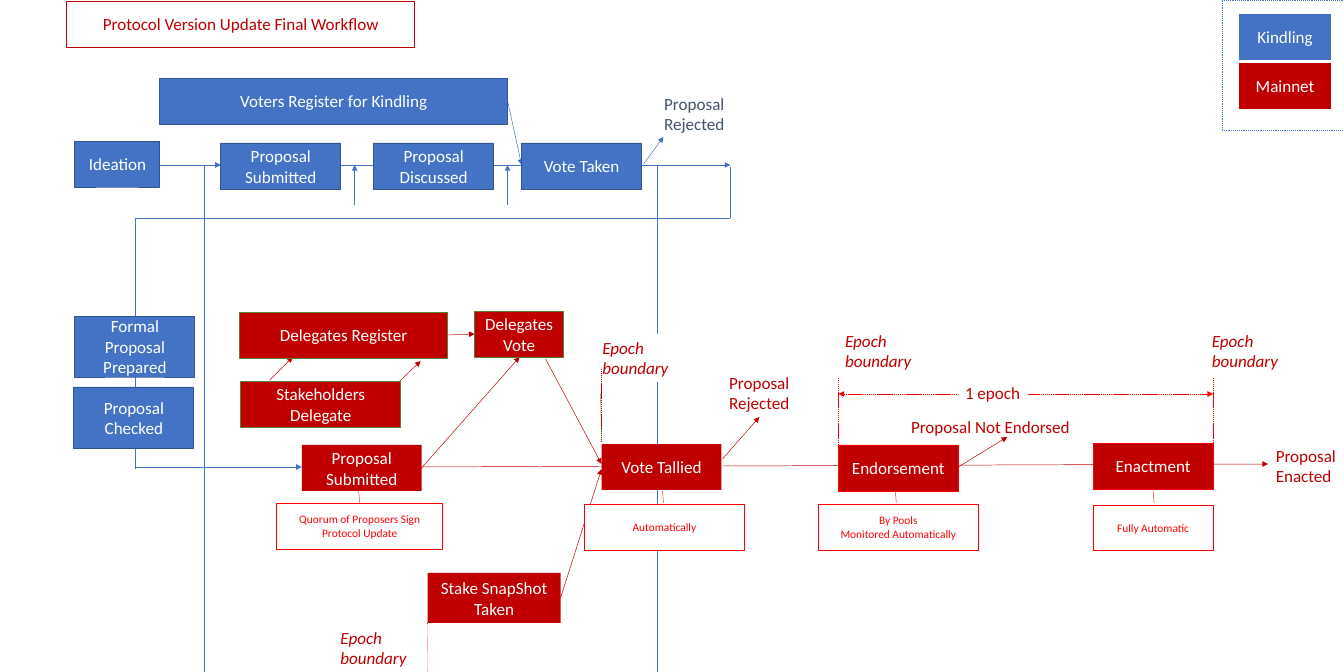
from lxml.etree import SubElement
from pptx import Presentation
from pptx.dml.color import RGBColor
from pptx.enum.dml import MSO_LINE
from pptx.enum.shapes import MSO_CONNECTOR, MSO_SHAPE
from pptx.enum.text import MSO_ANCHOR, PP_ALIGN
from pptx.oxml.ns import qn
from pptx.util import Emu, Pt

SCALE = 914400 / 68.3
WIDTH, HEIGHT = 1345, 672
BLUE = RGBColor(0x44, 0x72, 0xC4)
NAVY = RGBColor(0x32, 0x54, 0x91)
SLATE = RGBColor(0x44, 0x54, 0x6A)
RED = RGBColor(0xC0, 0x00, 0x00)
BRIGHT = RGBColor(0xFF, 0x00, 0x00)
GREEN = RGBColor(0x54, 0x82, 0x35)
WHITE = RGBColor(0xFF, 0xFF, 0xFF)
DASH = MSO_LINE.SQUARE_DOT  # sysDash
DOT = MSO_LINE.ROUND_DOT  # sysDot


def px(*values):
    return [Emu(round(v * SCALE)) for v in values]


def write(shape, text, size=18, color=WHITE, italic=False, wrap=True,
          align=PP_ALIGN.CENTER, anchor=MSO_ANCHOR.MIDDLE):
    frame = shape.text_frame
    frame.word_wrap = wrap
    frame.vertical_anchor = anchor
    para = frame.paragraphs[0]
    para.text = text
    para.alignment = align
    for run in para.runs:
        font = run.font
        font.name, font.size, font.italic = "Calibri", Pt(size), italic
        font.color.rgb = color
    for br in para._p.findall(qn("a:br")):
        SubElement(br, qn("a:rPr"), sz=str(size * 100))


def box(slide, area, text="", fill=None, edge=None, dash=None, **style):
    shape = slide.shapes.add_shape(MSO_SHAPE.RECTANGLE, *px(*area))
    shape.shadow.inherit = False
    if fill is None:
        shape.fill.background()
    else:
        shape.fill.solid()
        shape.fill.fore_color.rgb = fill
    if edge is None:
        shape.line.fill.background()
    else:
        shape.line.color.rgb = edge
        shape.line.width = Pt(1)
        if dash:
            shape.line.dash_style = dash
    if text:
        write(shape, text, **style)


def label(slide, area, text, color=RED, wrap=False):
    shape = slide.shapes.add_textbox(*px(*area))
    write(shape, text, color=color, wrap=wrap,
          align=PP_ALIGN.LEFT, anchor=MSO_ANCHOR.TOP)


def link(slide, ends, color=RED, dash=None, tail=False, head=False):
    line = slide.shapes.add_connector(MSO_CONNECTOR.STRAIGHT, *px(*ends))
    line.line.color.rgb = color
    line.line.width = Pt(0.5)
    if dash:
        line.line.dash_style = dash
    props = line._element.spPr
    stroke = props.find(qn("a:ln"))
    for tag, shown in (("a:headEnd", head), ("a:tailEnd", tail)):
        if shown:
            SubElement(stroke, qn(tag), type="triangle")
    SubElement(props, qn("a:effectLst"))


def draw_links(slide):
    # Idea flow
    for ends in ((80, 165, 731, 165), (204, 165, 221, 165),
                 (508, 101, 522, 165), (355, 205, 355, 165),
                 (508, 205, 508, 165), (644, 164, 664, 137),
                 (135, 467, 302, 467)):
        link(slide, ends, BLUE, tail=True)
    # Return path and long uprights
    for ends in ((731, 167, 731, 218), (731, 218, 135, 218),
                 (135, 218, 135, 469), (204, 165, 204, HEIGHT),
                 (658, 165, 658, HEIGHT)):
        link(slide, ends, BLUE)
    # Mainnet flow
    for ends in ((421, 467, 660, 466), (723, 466, 1269, 464),
                 (723, 459, 760, 417), (959, 467, 1008, 437),
                 (561, 598, 602, 469), (270, 380, 293, 357),
                 (398, 383, 421, 361), (546, 359, 602, 464),
                 (448, 335, 475, 334), (421, 469, 520, 357)):
        link(slide, ends, tail=True)
    # Epoch marks and their span
    for x, top, end in ((839, 378, 467), (1214, 378, 465), (428, 623, HEIGHT)):
        link(slide, (x, top, x, end), BRIGHT, DASH)
    link(slide, (839, 394, 1214, 394), BRIGHT, DASH, tail=True, head=True)
    # Ties from steps to notes
    for x in (359, 663, 896, 1154):
        link(slide, (x, 491, x + 1, 503), BRIGHT, DASH)


def draw_steps(slide):
    # Idea steps
    for area, text in (
            ((160, 78, 348, 46), "Voters Register for Kindling"),
            ((75, 141, 85, 46), "Ideation"),
            ((221, 143, 120, 46), "Proposal Submitted"),
            ((374, 143, 120, 46), "Proposal Discussed"),
            ((522, 143, 120, 46), "Vote Taken"),
            ((75, 316, 120, 61), "Formal\nProposal\nPrepared"),
            ((74, 387, 120, 61), "Proposal\nChecked")):
        box(slide, area, text, BLUE, NAVY)
    # Mainnet steps
    for area, text, edge in (
            ((302, 445, 120, 46), "Proposal Submitted", None),
            ((602, 444, 120, 46), "Vote Tallied", None),
            ((428, 573, 133, 50), "Stake SnapShot\nTaken", None),
            ((839, 445, 120, 46), "Endorsement", BRIGHT),
            ((1094, 443, 120, 46), "Enactment", BRIGHT),
            ((241, 381, 160, 46), "Stakeholders Delegate", GREEN),
            ((240, 312, 208, 46), "Delegates Register", GREEN),
            ((475, 311, 89, 46), "Delegates Vote", GREEN)):
        box(slide, area, text, RED, edge)


def draw_notes(slide):
    for x, y, width, text in (
            (277, 503, 166, "Quorum of Proposers Sign\nProtocol Update"),
            (585, 504, 160, "Automatically"),
            (819, 504, 160, "By Pools\nMonitored Automatically"),
            (1094, 505, 120, "Fully Automatic")):
        box(slide, (x, y, width, 46), text, WHITE, BRIGHT,
            size=12, color=BRIGHT)


def draw_labels(slide):
    plain = dict(color=RED, align=PP_ALIGN.LEFT, anchor=MSO_ANCHOR.TOP)
    for x, y in ((596, 334), (839, 327), (1206, 327), (334, 624)):
        box(slide, (x, y, 94, 48), "Epoch boundary", WHITE,
            italic=True, **plain)
    box(slide, (959, 379, 70, 27), "1 epoch", WHITE, **plain)
    label(slide, (658, 90, 74, 48), "Proposal\nRejected", SLATE)
    label(slide, (723, 369, 74, 48), "Proposal\nRejected")
    label(slide, (1270, 442, 74, 48), "Proposal\nEnacted")
    label(slide, (905, 413, 209, 27), "Proposal Not Endorsed", wrap=True)
    # Tally boundary runs over its label
    link(slide, (602, 369, 602, 441), RED, DASH)
    link(slide, (601, 394, 602, 441), GREEN, DASH)


def draw_key(slide):
    box(slide, (1240, 14, 92, 46), "Kindling", BLUE)
    box(slide, (1240, 63, 92, 46), "Mainnet", RED)
    box(slide, (1223, 0, 122, 131), edge=BLUE, dash=DOT)


def main():
    deck = Presentation()
    deck.slide_width, deck.slide_height = px(WIDTH, HEIGHT)
    slide = deck.slides.add_slide(deck.slide_layouts[6])
    draw_links(slide)
    draw_steps(slide)
    draw_notes(slide)
    draw_labels(slide)
    draw_key(slide)
    box(slide, (67, 1, 348, 46), "Protocol Version Update Final Workflow",
        WHITE, RED, color=RED)
    deck.save("out.pptx")


main()
